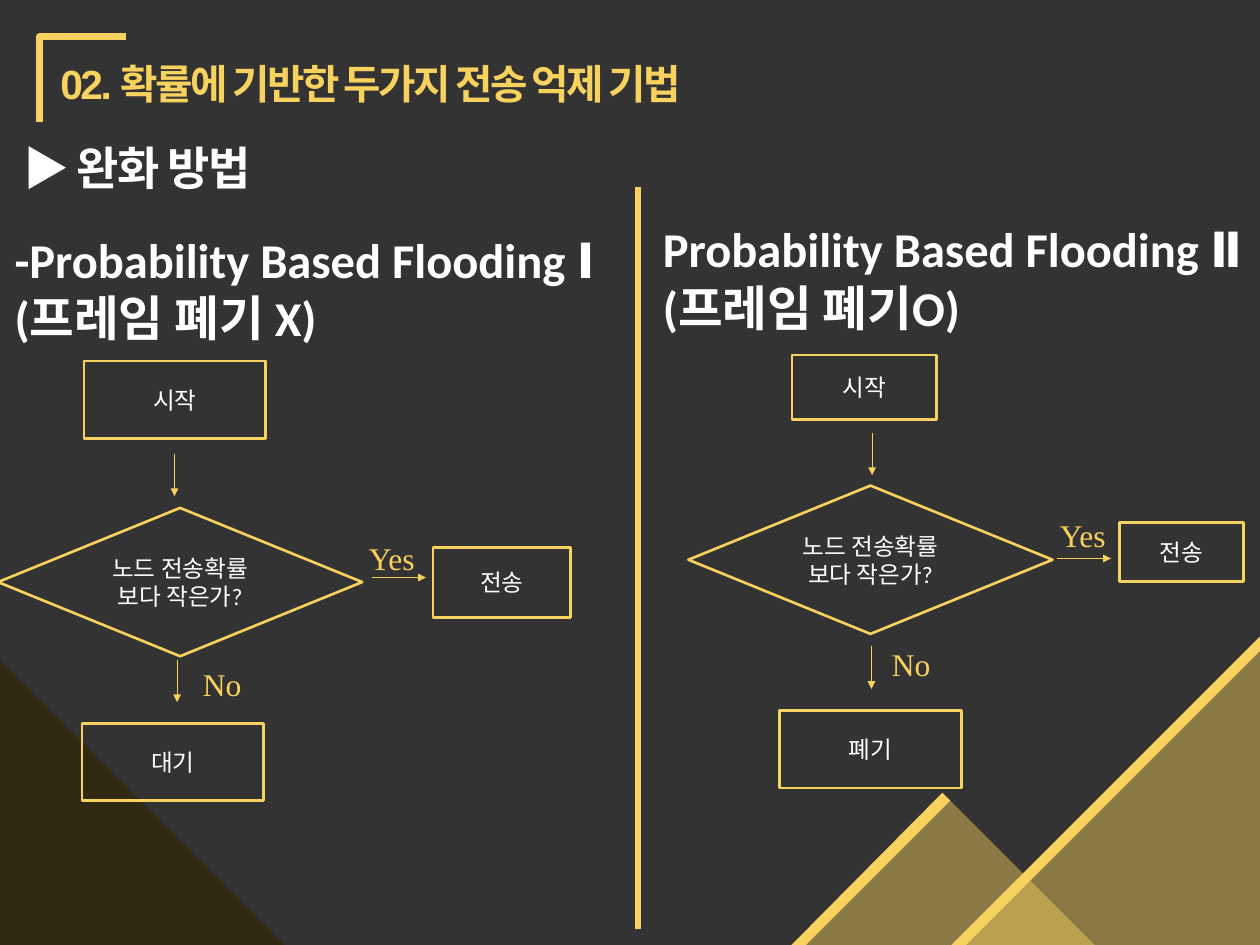
from lxml import etree
from pptx import Presentation
from pptx.dml.color import RGBColor
from pptx.enum.shapes import MSO_CONNECTOR, MSO_SHAPE
from pptx.enum.text import MSO_ANCHOR, PP_ALIGN
from pptx.oxml.ns import qn
from pptx.util import Pt

RECT, DECISION = MSO_SHAPE.RECTANGLE, MSO_SHAPE.FLOWCHART_DECISION
STRAIGHT = MSO_CONNECTOR.STRAIGHT
LEFT, CENTER, JUSTIFY = PP_ALIGN.LEFT, PP_ALIGN.CENTER, PP_ALIGN.JUSTIFY
TOP, MIDDLE = MSO_ANCHOR.TOP, MSO_ANCHOR.MIDDLE


class Theme:
    gold = RGBColor(0xF8, 0xD2, 0x5E)
    white = RGBColor(0xFF, 0xFF, 0xFF)
    black = RGBColor(0, 0, 0)
    body, title, korean, label = "Calibri", "Arial", "Noto Sans CJK KR", "Times New Roman"
    title_size, topic_size, heading_size, label_size, step_size = 31, 35, 37, 24, 18
    thick, outline, thin = 5, 2, 0.75


WIDTH, HEIGHT = 960, 720

# Outline points, fill colour, opacity in percent; from back to front
BACKDROP = [
    ([(0, 503), (0, 720), (217, 720)], Theme.gold, 100),
    ([(0, 0), (WIDTH, 0), (WIDTH, HEIGHT), (0, HEIGHT)], Theme.black, 80),
    ([(718.5, 604.5), (603, 720), (614, 720), (723.5, 610.5)], Theme.gold, 100),
    ([(960, 485), (725, 720), (736, 720), (960, 496)], Theme.gold, 100),
    ([(721, 607), (608, 720), (834, 720)], Theme.gold, 45),
    ([(960, 492.5), (733, 720), (960, 720)], Theme.gold, 45),
]
TITLE_BRACKET = [(30, 93), (30, 27.5), (96, 27.5)]
DIVIDER = (486, 142.5, 486, 708)

TITLE = ("02. 확률에 기반한 두가지 전송 억제 기법", (46, 51, 542, 31))
TOPIC = ("▶ 완화 방법", (18, 106.5, 448.5, 42.5))
QUESTION = "노드 전송확률\n보다 작은가?"

FLOWCHARTS = [
    {
        "heading": ("-Probability Based Flooding Ⅰ\n(프레임 폐기 X)", (4, 171.5, 493, 191.5)),
        "steps": [
            ("시작", RECT, (64, 275, 138.5, 59)),
            (QUESTION, DECISION, (-1.5, 387, 277.5, 113)),
            ("전송", RECT, (330, 417, 104.5, 53.5)),
            ("대기", RECT, (62.5, 551, 138.5, 59)),
        ],
        "arrows": [(133, 346, 133, 378), (135, 503, 135, 535), (283.5, 440, 324.5, 440)],
        "answers": [("Yes", (274, 407, 50, 36)), ("No", (147.5, 503, 44, 36))],
    },
    {
        "heading": ("Probability Based Flooding Ⅱ\n(프레임 폐기O)", (498, 163.5, 516, 191.5)),
        "steps": [
            ("시작", RECT, (603.5, 270.5, 110, 49)),
            (QUESTION, DECISION, (524.5, 370, 277.5, 113)),
            ("전송", RECT, (853, 398, 94.5, 45)),
            ("폐기", RECT, (594, 541.5, 138.5, 59)),
        ],
        "arrows": [(664.5, 330, 664.5, 362), (664, 492.5, 664, 525), (805.5, 425.5, 846.5, 425.5)],
        "answers": [("Yes", (800.5, 389.5, 50, 36)), ("No", (672.5, 488, 44, 36))],
    },
]


def points(values):
    return [Pt(value) for value in values]


def write(frame, text, size, font=Theme.body, color=Theme.white, bold=False, align=LEFT,
          anchor=TOP, wrap=True, inset=True, tracking=None, line_spacing=None):
    frame.word_wrap = wrap
    frame.vertical_anchor = anchor
    if not inset:
        frame.margin_left = frame.margin_right = frame.margin_top = frame.margin_bottom = 0
    for index, line in enumerate(text.split("\n")):
        paragraph = frame.add_paragraph() if index else frame.paragraphs[0]
        paragraph.alignment = align
        if line_spacing:
            paragraph.line_spacing = Pt(line_spacing)
        run = paragraph.add_run()
        run.text = line
        run.font.size, run.font.name, run.font.bold = Pt(size), font, bold
        run.font.color.rgb = color
        properties = run.font._element
        etree.SubElement(properties, qn("a:ea"), typeface=Theme.korean)
        if tracking:
            properties.set("spc", str(round(tracking * 100)))


def add_text(shapes, text, place, **style):
    write(shapes.add_textbox(*points(place)).text_frame, text, **style)


def add_outline(shapes, corners, close=True):
    builder = shapes.build_freeform(*corners[0], scale=Pt(1))
    builder.add_line_segments(corners[1:], close=close)
    shape = builder.convert_to_shape()
    shape.shadow.inherit = False
    return shape


def add_backdrop(shapes, corners, color, opacity):
    shape = add_outline(shapes, corners)
    shape.fill.solid()
    shape.fill.fore_color.rgb = color
    shape.line.fill.background()
    if opacity < 100:
        tint = shape._element.spPr.find(qn("a:solidFill"))[0]
        etree.SubElement(tint, qn("a:alpha"), val=str(opacity * 1000))


def hollow(shape, width):
    shape.fill.background()
    shape.line.color.rgb = Theme.gold
    shape.line.width = Pt(width)


def add_step(shapes, text, kind, place):
    step = shapes.add_shape(kind, *points(place))
    step.shadow.inherit = False
    hollow(step, Theme.outline)
    write(step.text_frame, text, Theme.step_size, align=CENTER, anchor=MIDDLE)


def add_line(shapes, ends, width, arrow=False):
    line = shapes.add_connector(STRAIGHT, *points(ends))
    line.line.color.rgb = Theme.gold
    line.line.width = Pt(width)
    if arrow:
        etree.SubElement(line.line._get_or_add_ln(), qn("a:tailEnd"), type="triangle")
    etree.SubElement(line._element.spPr, qn("a:effectLst"))


def add_flowchart(shapes, chart):
    add_text(shapes, *chart["heading"], size=Theme.heading_size, bold=True)
    for step in chart["steps"]:
        add_step(shapes, *step)
    for ends in chart["arrows"]:
        add_line(shapes, ends, Theme.thin, arrow=True)
    for answer in chart["answers"]:
        add_text(shapes, *answer, size=Theme.label_size, font=Theme.label,
                 color=Theme.gold, align=JUSTIFY, wrap=False)


def main():
    deck = Presentation()
    deck.slide_width, deck.slide_height = Pt(WIDTH), Pt(HEIGHT)
    shapes = deck.slides.add_slide(deck.slide_layouts[6]).shapes
    for piece in BACKDROP:
        add_backdrop(shapes, *piece)
    hollow(add_outline(shapes, TITLE_BRACKET, close=False), Theme.thick)
    add_text(shapes, *TITLE, size=Theme.title_size, font=Theme.title, color=Theme.gold,
             bold=True, inset=False, tracking=-1.9, line_spacing=30.8)
    add_text(shapes, *TOPIC, size=Theme.topic_size, font=Theme.korean, bold=True,
             inset=False, tracking=-1.2)
    for chart in FLOWCHARTS:
        add_flowchart(shapes, chart)
    add_line(shapes, DIVIDER, Theme.thick)
    deck.save("out.pptx")


if __name__ == "__main__":
    main()
